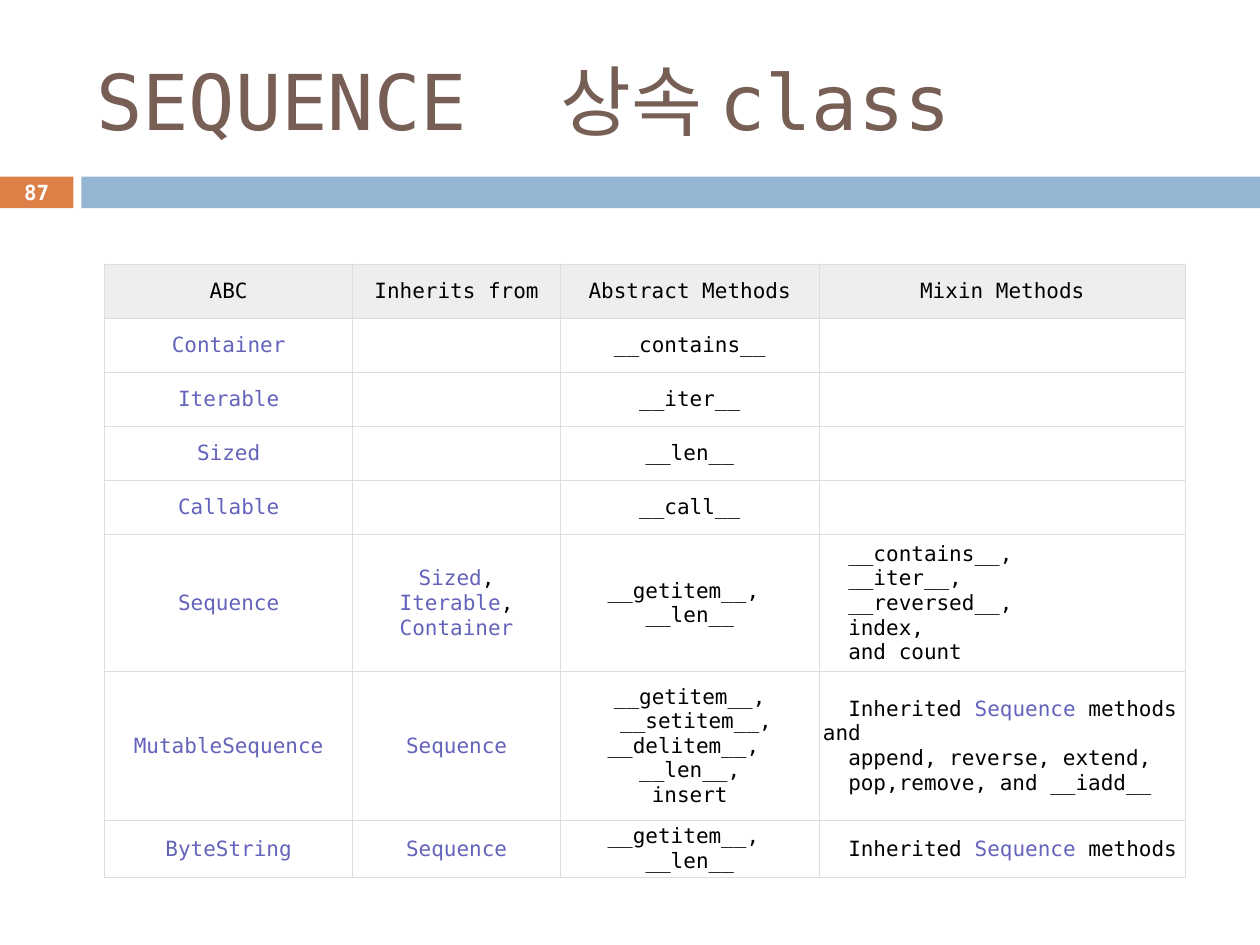
from typing import NamedTuple

from lxml import etree
from pptx import Presentation
from pptx.dml.color import RGBColor
from pptx.enum import shapes, text
from pptx.oxml import ns
from pptx.util import Cm, Pt

FONT = "DejaVu Sans Mono"
BLACK, WHITE, LINK = "000000", "FFFFFF", "6363BB"
HEADER_FILL, BORDER = "EEEEEE", "DDDDDD"
CENTER, LEFT = text.PP_ALIGN.CENTER, text.PP_ALIGN.LEFT


class Box(NamedTuple):
    left: float
    top: float
    width: float
    height: float


class AbcRow(NamedTuple):
    """One table row; text between asterisks takes the link colour."""
    abc: str
    inherits: str
    abstract: str
    mixin: str
    height: float = 1.09


HEADER = AbcRow("ABC", "Inherits from", "Abstract Methods", "Mixin Methods")
ROWS = [
    AbcRow("*Container*", "", "__contains__", ""),
    AbcRow("*Iterable*", "", "__iter__", ""),
    AbcRow("*Sized*", "", "__len__", ""),
    AbcRow("*Callable*", "", "__call__", ""),
    AbcRow("*Sequence*", "*Sized*,\n*Iterable*,\n*Container*",
           "__getitem__, \n__len__",
           "__contains__,\n__iter__,\n__reversed__,\nindex,\nand count", 2.76),
    AbcRow("*MutableSequence*", "*Sequence*",
           "__getitem__,\n __setitem__,\n__delitem__, \n__len__,\ninsert",
           "Inherited *Sequence* methods and\nappend, reverse, extend,\n"
           "pop,remove, and __iadd__", 3.0),
    AbcRow("*ByteString*", "*Sequence*", "__getitem__, \n__len__",
           "Inherited *Sequence* methods", 1.15),
]
COLUMN_WIDTHS = [5.0, 4.19, 5.21, 7.39]
TABLE_BOX = Box(2.11, 5.33, sum(COLUMN_WIDTHS),
                HEADER.height + sum(row.height for row in ROWS))


def rgb(value: str) -> RGBColor:
    return RGBColor.from_string(value)


def place(box: Box) -> list[int]:
    return [Cm(value) for value in box]


def write(tf, content: str, *, size: float = 12, color: str = BLACK,
          bold: bool = False, align=LEFT, indent: float = 0) -> None:
    """Fill a text frame, one paragraph a line; indent is for first lines."""
    for i, line in enumerate(content.split("\n")):
        p = tf.add_paragraph() if i else tf.paragraphs[0]
        p.alignment = align
        if indent:
            pPr = p._p.get_or_add_pPr()
            pPr.set("marL", "0")
            pPr.set("indent", str(Cm(indent)))
        for j, part in enumerate(line.split("*")):
            if not part:
                continue
            r = p.add_run()
            r.text = part
            r.font.name = FONT
            r.font.size = Pt(size)
            r.font.bold = bold
            r.font.color.rgb = rgb(LINK if j % 2 else color)


def add_bar(s, box: Box, color: str) -> None:
    sp = s.shapes.add_shape(shapes.MSO_SHAPE.RECTANGLE, *place(box))
    sp.shadow.inherit = False
    sp.fill.solid()
    sp.fill.fore_color.rgb = rgb(color)
    sp.line.fill.background()


def add_text(s, box: Box, content: str, **fmt) -> None:
    tf = s.shapes.add_textbox(*place(box)).text_frame
    tf.word_wrap = True
    tf.vertical_anchor = text.MSO_ANCHOR.MIDDLE
    write(tf, content, **fmt)


def add_borders(cell) -> None:
    tcPr = cell._tc.get_or_add_tcPr()
    for i, side in enumerate(("lnL", "lnR", "lnT", "lnB")):
        ln = etree.Element(ns.qn(f"a:{side}"), w=str(Pt(0.6)))
        fill = etree.SubElement(ln, ns.qn("a:solidFill"))
        etree.SubElement(fill, ns.qn("a:srgbClr"), val=BORDER)
        tcPr.insert(i, ln)


def fill_cell(cell, content: str, fill: str, **fmt) -> None:
    cell.margin_left = cell.margin_right = Cm(0.08)
    cell.margin_top = cell.margin_bottom = Cm(0.03)
    cell.vertical_anchor = text.MSO_ANCHOR.MIDDLE
    cell.fill.solid()
    cell.fill.fore_color.rgb = rgb(fill)
    add_borders(cell)
    write(cell.text_frame, content, **fmt)


def add_abc_table(s) -> None:
    rows = [HEADER, *ROWS]
    table = s.shapes.add_table(len(rows), len(COLUMN_WIDTHS),
                               *place(TABLE_BOX)).table
    for column, width in zip(table.columns, COLUMN_WIDTHS):
        column.width = Cm(width)
    for i, row in enumerate(rows):
        table.rows[i].height = Cm(row.height)
        for j, content in enumerate(row[:4]):
            is_list = i > 0 and j == 3
            fill_cell(table.cell(i, j), content, WHITE if i else HEADER_FILL,
                      align=LEFT if is_list else CENTER,
                      indent=0.51 if is_list else 0)


def main() -> None:
    prs = Presentation()
    prs.slide_width, prs.slide_height = Cm(25.4), Cm(19.05)
    s = prs.slides.add_slide(prs.slide_layouts[6])
    add_bar(s, Box(0, 3.56, 1.48, 0.64), "DD8047")
    add_bar(s, Box(1.64, 3.56, 23.76, 0.64), "94B6D2")
    add_text(s, Box(1.69, 0.64, 22.65, 2.74), "SEQUENCE  상속 class",
             size=44, color="775F55")
    add_text(s, Box(0, 3.53, 1.48, 0.69), "87", size=11.9, color=WHITE,
             bold=True, align=CENTER)
    add_abc_table(s)
    prs.save("out.pptx")


if __name__ == "__main__":
    main()
